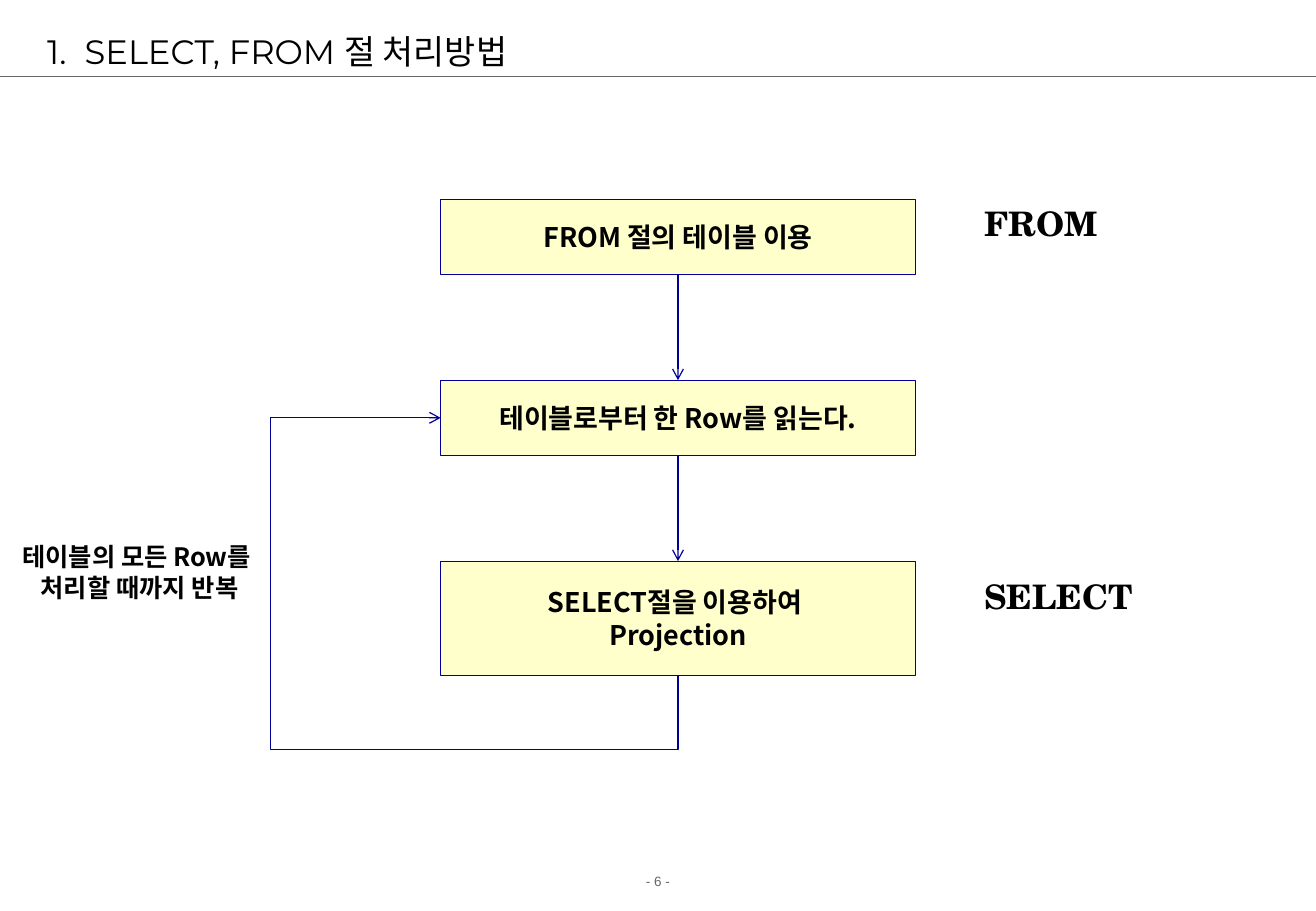
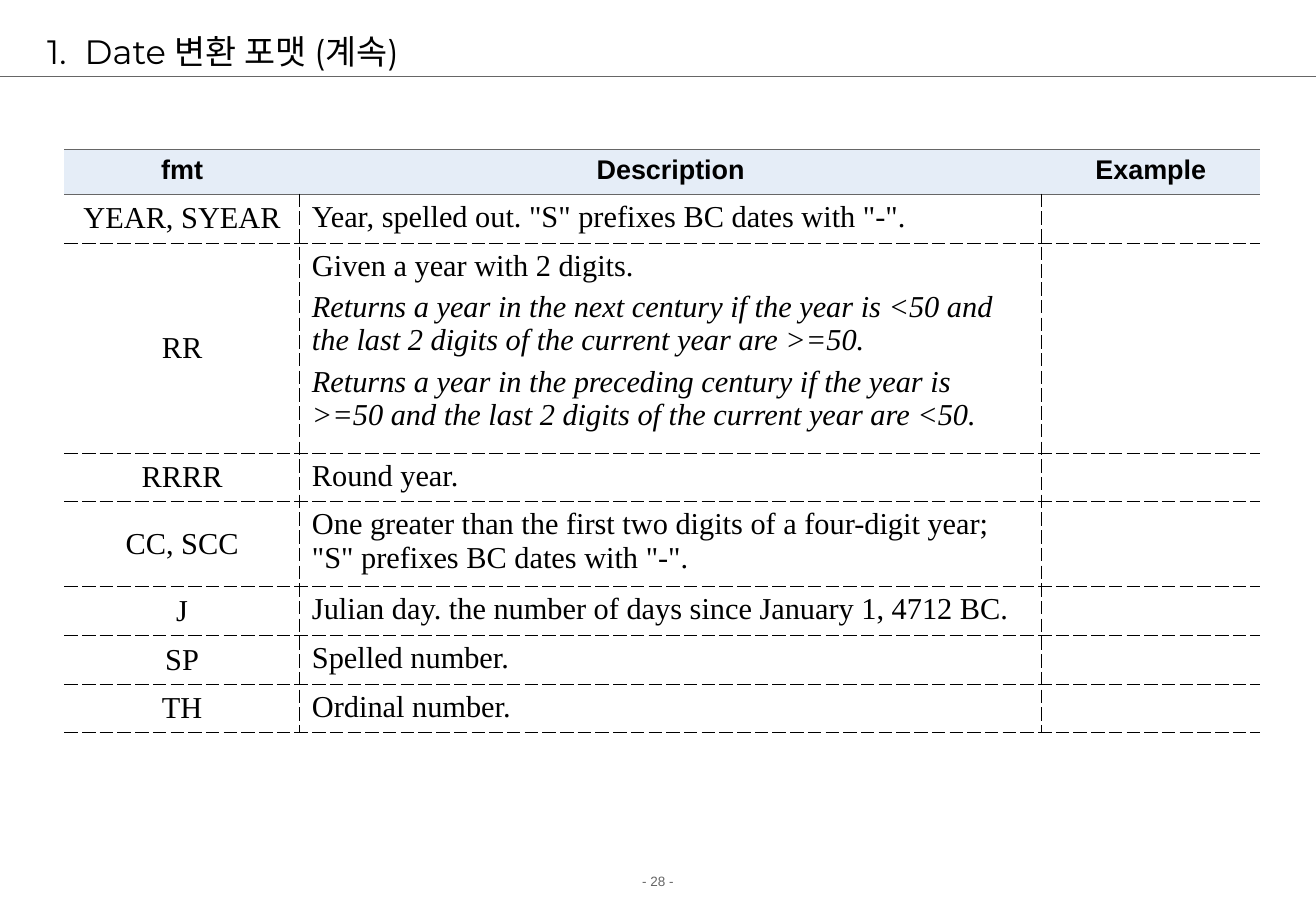
from lxml import etree
from pptx import Presentation
from pptx.dml.color import RGBColor
from pptx.enum import shapes, text
from pptx.oxml import ns
from pptx.util import Inches, Pt

BLACK = RGBColor(0x00, 0x00, 0x00)
WHITE = RGBColor(0xFF, 0xFF, 0xFF)
GRAY = RGBColor(0x66, 0x66, 0x66)
NAVY = RGBColor(0x00, 0x00, 0x99)
CREAM = RGBColor(0xFF, 0xFF, 0xCC)
PALE_BLUE = RGBColor(0xE5, 0xED, 0xF7)

BODY = "Noto Sans CJK KR"
TITLE = "Montserrat"
KEYWORD = "TeX Gyre Schola"
SANS = "Arial"
SERIF = "Times New Roman"

SLIDE_W, SLIDE_H = 10.84, 7.5
CENTER = text.PP_ALIGN.CENTER
LEFT = text.PP_ALIGN.LEFT
MIDDLE = text.MSO_ANCHOR.MIDDLE
TOP = text.MSO_ANCHOR.TOP

SOLID = (GRAY, 0.96, "solid")
DASH = (BLACK, 0.45, "dash")

HEADINGS = ("fmt", "Description", "Example")
COLUMN_WIDTHS = (1.94, 6.11, 1.8)
HEADING_HEIGHT = 0.37
FORMATS = (
    ("YEAR, SYEAR", 0.4, ('Year, spelled out. "S" prefixes BC dates with "-".',)),
    ("RR", 1.73, (
        "Given a year with 2 digits.",
        "Returns a year in the next century if the year is <50 and "
        "the last 2 digits of the current year are >=50.",
        "Returns a year in the preceding century if the year is "
        ">=50 and the last 2 digits of the current year are <50.",
    )),
    ("RRRR", 0.4, ("Round year.",)),
    ("CC, SCC", 0.7, (
        "One greater than the first two digits of a four-digit year; "
        '"S" prefixes BC dates with "-".',
    )),
    ("J", 0.4, ("Julian day. the number of days since January 1, 4712 BC.",)),
    ("SP", 0.4, ("Spelled number.",)),
    ("TH", 0.4, ("Ordinal number.",)),
)


def sub(parent, tag, **attributes):
    """Append a DrawingML child element."""
    return etree.SubElement(parent, ns.qn(tag), attributes)


def add_run(paragraph, words, size, font, color=BLACK, bold=False, italic=False):
    """Add one styled run, with an East Asian font for Hangul."""
    run = paragraph.add_run()
    run.text = words
    run.font.size = Pt(size)
    run.font.name = font
    run.font.bold = bold
    run.font.italic = italic
    run.font.color.rgb = color
    sub(run.font._element, "a:ea", typeface=BODY)


def add_label(slide, box, lines, size, font, color=BLACK, bold=False,
              align=LEFT, anchor=TOP):
    """Place a wrapped text box with one paragraph per line."""
    label = slide.shapes.add_textbox(*map(Inches, box))
    frame = label.text_frame
    frame.word_wrap = True
    frame.vertical_anchor = anchor
    for index, line in enumerate(lines):
        paragraph = frame.add_paragraph() if index else frame.paragraphs[0]
        paragraph.alignment = align
        add_run(paragraph, line, size, font, color, bold)
    return label


def add_line(slide, start, end, color, kind=shapes.MSO_CONNECTOR.STRAIGHT,
             arrow=False):
    """Draw a thin connector, with an arrowhead if asked."""
    line = slide.shapes.add_connector(kind, *map(Inches, start + end))
    line.line.color.rgb = color
    line.line.width = Pt(0.75)
    if arrow:
        sub(line.line._get_or_add_ln(), "a:tailEnd", type="arrow")
    sub(line._element.spPr, "a:effectLst")
    return line


def add_frame(prs, heading, number):
    """Add a blank slide with its numbered title, rule and page number."""
    slide = prs.slides.add_slide(prs.slide_layouts[6])
    add_label(slide, (0, 7.14, SLIDE_W, 0.24), [f"- {number} -"], 8, SANS,
              GRAY, align=CENTER)
    add_line(slide, (0, 0.63), (SLIDE_W, 0.63), GRAY)
    title = add_label(slide, (0.29, 0.21, 10.17, 0.42), [heading], 20, TITLE,
                      anchor=MIDDLE)
    properties = title.text_frame.paragraphs[0]._p.get_or_add_pPr()
    properties.set("marL", str(Inches(0.31)))
    properties.set("indent", str(-Inches(0.31)))
    sub(sub(properties, "a:buClr"), "a:srgbClr", val=str(BLACK))
    sub(properties, "a:buFont", typeface=TITLE)
    sub(properties, "a:buAutoNum", type="arabicPeriod")
    return slide


def add_step(slide, box, lines):
    """Draw one process step with centred bold text."""
    step = slide.shapes.add_shape(shapes.MSO_SHAPE.FLOWCHART_PROCESS,
                                  *map(Inches, box))
    step.shadow.inherit = False
    step.fill.solid()
    step.fill.fore_color.rgb = CREAM
    step.line.color.rgb = NAVY
    step.line.width = Pt(0.25)
    frame = step.text_frame
    frame.word_wrap = False
    frame.vertical_anchor = MIDDLE
    frame.margin_left = frame.margin_right = 0
    frame.margin_top = frame.margin_bottom = 0
    paragraph = frame.paragraphs[0]
    paragraph.alignment = CENTER
    for index, line in enumerate(lines):
        if index:
            paragraph.add_line_break()
        add_run(paragraph, line, 16, BODY, bold=True)
    return step


def add_loop(slide, source, target, drop, reach):
    """Lead an arrow from below the source round to the target's left side."""
    loop = add_line(slide, (0, 0), (1, 1), NAVY,
                    shapes.MSO_CONNECTOR.ELBOW, arrow=True)
    loop.begin_connect(source, 2)
    loop.end_connect(target, 1)
    start_x, start_y = source.left + source.width // 2, source.top + source.height
    end_x, end_y = target.left, target.top + target.height // 2
    rise, run = start_y - end_y, start_x - end_x
    loop.left = (start_x + end_x - rise) // 2
    loop.top = (start_y + end_y - run) // 2
    loop.width, loop.height = rise, run
    transform = loop._element.spPr.find(ns.qn("a:xfrm"))
    transform.set("rot", "16200000")
    transform.set("flipH", "0")
    transform.set("flipV", "1")
    geometry = loop._element.spPr.find(ns.qn("a:prstGeom"))
    geometry.set("prst", "bentConnector4")
    guides = geometry.find(ns.qn("a:avLst"))
    if guides is None:
        guides = sub(geometry, "a:avLst")
    ratios = (-Inches(drop) / rise, (run + Inches(reach)) / run)
    for index, ratio in enumerate(ratios, 1):
        sub(guides, "a:gd", name=f"adj{index}", fmla=f"val {round(ratio * 100000)}")


def add_flow(slide, left, top, width):
    """Draw the three steps, their arrows and the repeat loop."""
    gap = 0.87
    steps = []
    step_top = top
    for height, lines in (
        (0.62, ["FROM 절의 테이블 이용"]),
        (0.62, ["테이블로부터 한 Row를 읽는다."]),
        (0.94, ["SELECT절을 이용하여 ", "Projection"]),
    ):
        steps.append(add_step(slide, (left, step_top, width, height), lines))
        step_top += height + gap
    for upper, lower in zip(steps, steps[1:]):
        arrow = add_line(slide, (left, top), (left, top + gap), NAVY, arrow=True)
        arrow.begin_connect(upper, 2)
        arrow.end_connect(lower, 0)
    add_loop(slide, steps[2], steps[1], drop=0.61, reach=1.4)
    add_label(slide, (left - 3.63, top + 2.77, 2.3, 0.6),
              ["테이블의 모든 Row를 ", "처리할 때까지 반복"], 15, BODY,
              bold=True, align=CENTER)
    for keyword, offset in (("FROM", -0.02), ("SELECT", 3.05)):
        add_label(slide, (left + width + 0.47, top + offset, 2.29, 0.44),
                  [keyword], 20, KEYWORD, bold=True)


def set_borders(cell, left, right, top, bottom):
    """Give each side of a cell its line, or none."""
    properties = cell._tc.get_or_add_tcPr()
    sides = zip(("a:lnL", "a:lnR", "a:lnT", "a:lnB"), (left, right, top, bottom))
    for index, (tag, border) in enumerate(sides):
        line = etree.Element(ns.qn(tag))
        if border:
            color, width, dash = border
            line.set("w", str(Pt(width)))
            sub(sub(line, "a:solidFill"), "a:srgbClr", val=str(color))
            sub(line, "a:prstDash", val=dash)
        else:
            sub(line, "a:noFill")
        properties.insert(index, line)


def fill_cell(cell, lines, size, font, fill, bold=False, align=LEFT, anchor=TOP):
    """Fill a cell, with every paragraph after the first in italics."""
    cell.fill.solid()
    cell.fill.fore_color.rgb = fill
    cell.vertical_anchor = anchor
    cell.margin_left = cell.margin_right = Inches(0.1)
    cell.margin_top = cell.margin_bottom = Inches(0.05 if lines else 0)
    frame = cell.text_frame
    for index, line in enumerate(lines):
        paragraph = frame.add_paragraph() if index else frame.paragraphs[0]
        paragraph.alignment = align
        if index:
            paragraph.space_before = Pt(4.5)
        add_run(paragraph, line, size, font, bold=bold, italic=index > 0)


def add_format_table(slide, left, top):
    """Draw the date format table."""
    heights = [HEADING_HEIGHT] + [height for _, height, _ in FORMATS]
    last = len(COLUMN_WIDTHS) - 1
    table = slide.shapes.add_table(
        len(heights), len(COLUMN_WIDTHS), Inches(left), Inches(top),
        Inches(sum(COLUMN_WIDTHS)), Inches(sum(heights))).table
    table.first_row = table.horz_banding = False
    for column, width in zip(table.columns, COLUMN_WIDTHS):
        column.width = Inches(width)
    for row, height in zip(table.rows, heights):
        row.height = Inches(height)
    for index, heading in enumerate(HEADINGS):
        cell = table.cell(0, index)
        fill_cell(cell, [heading], 16, SANS, PALE_BLUE, bold=True, align=CENTER)
        set_borders(cell, None, None, SOLID, SOLID)
    for row, (code, _, description) in enumerate(FORMATS, 1):
        fill_cell(table.cell(row, 0), [code], 18, SERIF, WHITE,
                  align=CENTER, anchor=MIDDLE)
        fill_cell(table.cell(row, 1), description, 18, SERIF, WHITE)
        fill_cell(table.cell(row, 2), [], 18, SERIF, WHITE)
        for index in range(last + 1):
            set_borders(table.cell(row, index),
                        DASH if index else None,
                        DASH if index < last else None,
                        SOLID if row == 1 else DASH, DASH)


def main():
    """Build and save both slides."""
    prs = Presentation()
    prs.slide_width, prs.slide_height = Inches(SLIDE_W), Inches(SLIDE_H)
    add_flow(add_frame(prs, "SELECT, FROM 절 처리방법", 6), 3.63, 1.64, 3.91)
    add_format_table(add_frame(prs, "Date 변환 포맷 (계속)", 28), 0.53, 1.23)
    prs.save("out.pptx")


if __name__ == "__main__":
    main()
